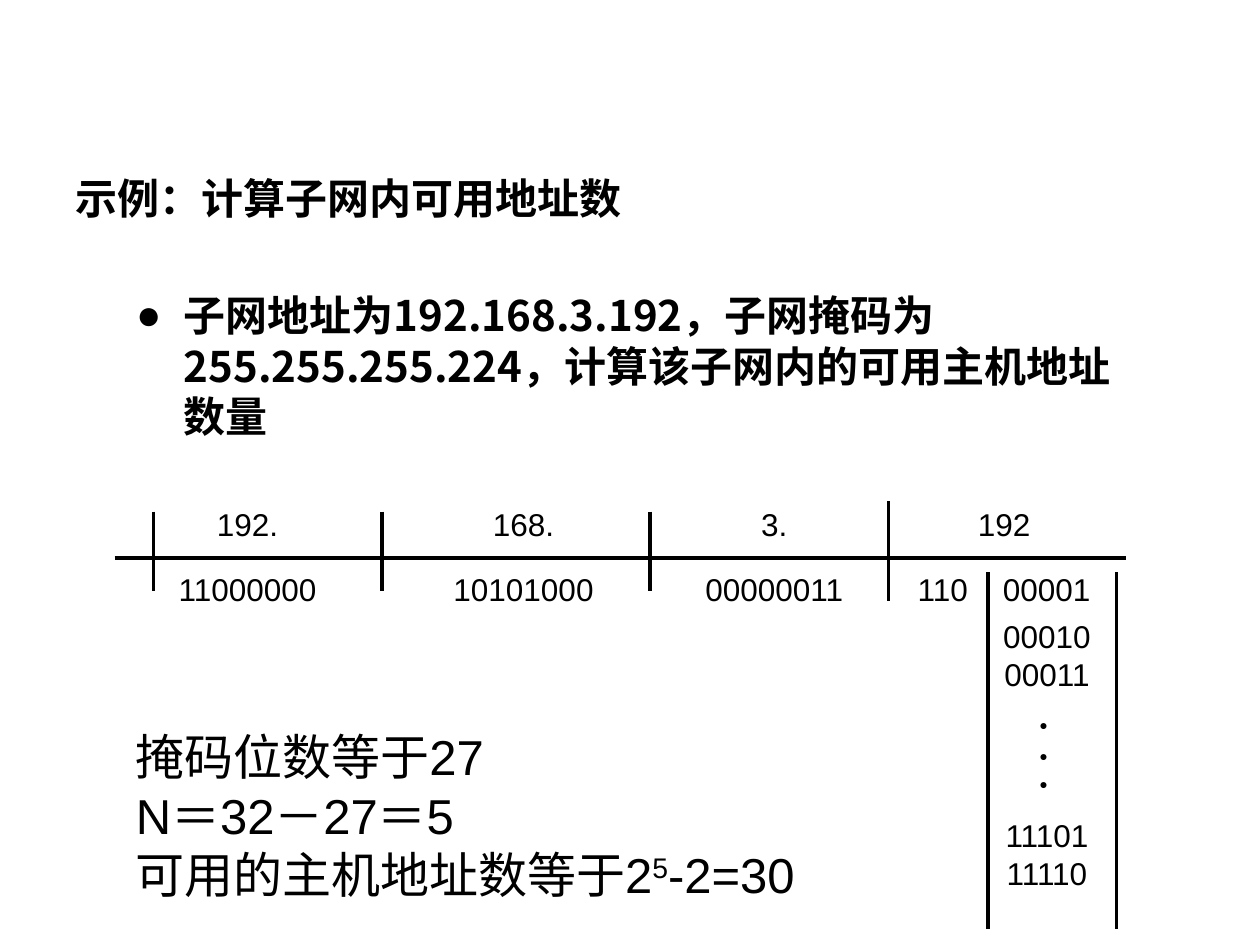
"""Build a slide that counts the usable host addresses in a subnet."""
from dataclasses import dataclass

from lxml import etree
from pptx import Presentation
from pptx.dml.color import RGBColor
from pptx.enum import shapes, text
from pptx.oxml import ns
from pptx.util import Inches, Pt


@dataclass(frozen=True)
class Theme:
    ink: RGBColor = RGBColor(0, 0, 0)
    paper: RGBColor = RGBColor(255, 255, 255)
    latin: str = "Arial"
    title_font: str = "Noto Sans CJK JP"
    body_font: str = "Noto Sans CJK SC"
    heading: int = 24
    result: int = 28
    bits: int = 18
    dot: int = 8
    line: int = 2


theme = Theme()


def add_run(paragraph, words, size, font=theme.latin, bold=False):
    run = paragraph.add_run()
    run.text = words
    run.font.size = Pt(size)
    run.font.name = font
    run.font.bold = bold
    run.font.color.rgb = theme.ink
    properties = run.font._element
    east_asian = font if font != theme.latin else theme.body_font
    etree.SubElement(properties, ns.qn("a:ea")).set("typeface", east_asian)
    return properties


def add_text_box(left, top, width, height, wrap=True):
    box = slide.shapes.add_textbox(Inches(left), Inches(top), Inches(width), Inches(height))
    box.text_frame.word_wrap = wrap
    return box.text_frame


presentation = Presentation()
presentation.slide_width, presentation.slide_height = Inches(10), Inches(7.5)
slide = presentation.slides.add_slide(presentation.slide_layouts[1])
slide.background.fill.solid()
slide.background.fill.fore_color.rgb = theme.paper

title = slide.shapes.title
title.left, title.top, title.width, title.height = map(Inches, (0.5, 1.23, 7.92, 0.67))
title.text_frame.vertical_anchor = text.MSO_ANCHOR.MIDDLE
title.text_frame.auto_size = text.MSO_AUTO_SIZE.NONE
paragraph = title.text_frame.paragraphs[0]
paragraph.alignment = text.PP_ALIGN.LEFT
add_run(paragraph, "示例：计算子网内可用地址数", theme.heading, theme.title_font, True)

body = slide.placeholders[1]
body.left, body.top, body.width, body.height = map(Inches, (0.98, 2.25, 8.03, 1.73))
body.text_frame.auto_size = text.MSO_AUTO_SIZE.NONE
paragraph = body.text_frame.paragraphs[0]
paragraph.line_spacing = Pt(1.2 * theme.heading)
paragraph.space_before = Pt(0.2 * theme.heading)
properties = paragraph._p.get_or_add_pPr()
properties.set("marL", str(Inches(0.38)))
properties.set("indent", str(-Inches(0.38)))
etree.SubElement(properties, ns.qn("a:buChar")).set("char", "●")
question = "子网地址为192.168.3.192，子网掩码为255.255.255.224，计算该子网内的可用主机地址数量"
add_run(paragraph, question, theme.heading, theme.body_font, True)

column_widths = (2.27, 2.11, 1.87, 1.78)
address_rows = (
    (4.5, 0.4, ("11000000", "10101000", "00000011", "110 00001")),
    (3.98, 0.44, ("192.", "168.", "3.", "192")),
)
for top, height, octets in address_rows:
    frame = slide.shapes.add_table(1, 4, Inches(0.83), Inches(top), Inches(8.03), Inches(height))
    table = frame.table
    table.first_row = table.horz_banding = False
    for column, width, cell, octet in zip(table.columns, column_widths, table.rows[0].cells, octets):
        column.width = Inches(width)
        cell.fill.solid()
        cell.fill.fore_color.rgb = theme.paper
        paragraph = cell.text_frame.paragraphs[0]
        paragraph.alignment = text.PP_ALIGN.CENTER
        paragraph.space_before = Pt(0.1 * theme.bits)
        paragraph.space_after = Pt(0.25 * theme.bits)
        network, gap, host = octet.partition(" ")
        add_run(paragraph, network, theme.bits)
        if gap:
            add_run(paragraph, gap, theme.bits).set("spc", "1500")
            add_run(paragraph, host, theme.bits)

octet_dividers = [(x, 4.06, x, 4.69) for x in (1.22, 3.03, 5.16)]
host_borders = [(x, 4.54, x, 7.37) for x in (7.84, 8.86)]
for ends in [*octet_dividers, (7.05, 3.98, 7.05, 4.77), (0.91, 4.43, 8.94, 4.43), *host_borders]:
    line = slide.shapes.add_connector(shapes.MSO_CONNECTOR.STRAIGHT, *map(Inches, ends))
    line.line.color.rgb = theme.ink
    line.line.width = Pt(theme.line)
    etree.SubElement(line._element.spPr, ns.qn("a:effectLst"))

for top, hosts in ((4.85, ("00010", "00011")), (6.43, ("11101", "11110"))):
    text_frame = add_text_box(7.68, top, 1.26, 0.7)
    for index, host in enumerate(hosts):
        paragraph = text_frame.add_paragraph() if index else text_frame.paragraphs[0]
        paragraph.alignment = text.PP_ALIGN.CENTER
        add_run(paragraph, host, theme.bits)

for top in (5.64, 5.88, 6.11):
    text_frame = add_text_box(8.15, top, 0.31, 0.23, wrap=False)
    add_run(text_frame.paragraphs[0], "●", theme.dot)

text_frame = add_text_box(0.98, 5.72, 6.77, 1.97)
results = (("掩码位数等于27",), ("N＝32－27＝5",), ("可用的主机地址数等于2", "5", "-2=30"))
for index, pieces in enumerate(results):
    paragraph = text_frame.add_paragraph() if index else text_frame.paragraphs[0]
    paragraph.line_spacing = Pt(1.2 * theme.result)
    for position, piece in enumerate(pieces):
        properties = add_run(paragraph, piece, theme.result)
        if position == 1:
            properties.set("baseline", "30000")

presentation.save("out.pptx")
